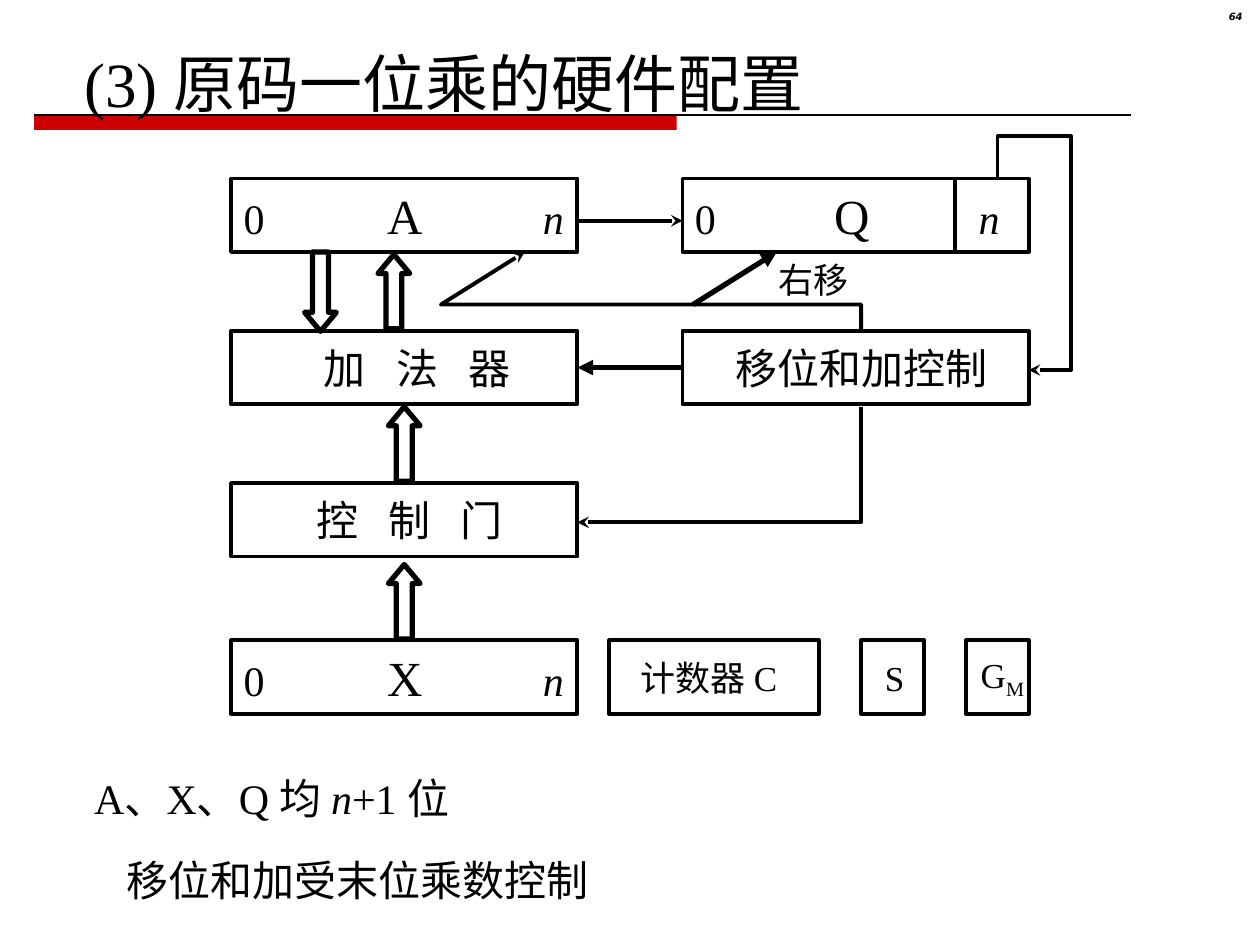
"""Build the slide on the hardware layout for one-bit sign-magnitude multiplication."""
from lxml.etree import SubElement
from pptx import Presentation
from pptx.dml.color import RGBColor
from pptx.enum.shapes import MSO_CONNECTOR as Link, MSO_SHAPE as Shape
from pptx.enum.text import MSO_ANCHOR as Anchor, MSO_AUTO_SIZE as AutoSize, PP_ALIGN as Align
from pptx.oxml.ns import qn
from pptx.util import Cm, Pt

COLORS = {"ink": "000000", "rule": "CC0000"}
INK = RGBColor.from_string(COLORS["ink"])
RULE = RGBColor.from_string(COLORS["rule"])


def write(box, runs, size, align=Align.LEFT, anchor=Anchor.TOP, left=0.25, right=0.25, tabs=()):
    frame = box.text_frame
    frame.word_wrap = True
    frame.auto_size = AutoSize.NONE
    frame.vertical_anchor = anchor
    frame.margin_left, frame.margin_right = Cm(left), Cm(right)
    frame.margin_top = frame.margin_bottom = Cm(0.13)
    para = frame.paragraphs[0]
    para.alignment = align
    if tabs:
        tab_list = SubElement(para._p.get_or_add_pPr(), qn("a:tabLst"))
        for position, kind in tabs:
            SubElement(tab_list, qn("a:tab"), pos=str(Cm(position)), algn=kind)
    para.font.name = "Times New Roman"
    para.font.size = Pt(size)
    para.font.color.rgb = INK
    for text, changes in runs:
        span = para.add_run()
        span.text = text
        for key, value in changes.items():
            span._r.get_or_add_rPr().set(key, value)
    return para


def outline(item, width=2.25, tail=None):
    item.line.color.rgb = INK
    item.line.width = Pt(width)
    if tail:
        SubElement(item.line._get_or_add_ln(), qn("a:tailEnd"), type=tail)


deck = Presentation()
deck.slide_width, deck.slide_height = Cm(25.4), Cm(19.05)
page = deck.slides.add_slide(deck.slide_layouts[5])
shapes = page.shapes

title = shapes.title
title.left, title.top, title.width, title.height = Cm(1.45), Cm(0.76), Cm(17.2), Cm(1.78)
write(title, [("(3) 原码一位乘的硬件配置", {})], 36)

bar = shapes.add_shape(Shape.RECTANGLE, Cm(0.69), Cm(2.32), Cm(12.95), Cm(0.3))
bar.shadow.inherit = False
bar.fill.solid()
bar.fill.fore_color.rgb = RULE
bar.line.fill.background()
hairline = shapes.add_connector(Link.STRAIGHT, Cm(0.69), Cm(2.32), Cm(22.8), Cm(2.32))
SubElement(hairline._element.spPr, qn("a:effectLst"))
outline(hairline, 0.75)
for part in (bar, hairline):
    title._element.addprevious(part._element)

number = shapes.add_textbox(Cm(23.8), Cm(0.13), Cm(1.5), Cm(0.58))
number_para = write(number, [("64", {})], 5.7, Align.RIGHT)
number_para.line_spacing = 0.8
number_para.font.name = "DejaVu Sans"
number_para.font.bold = number_para.font.italic = True

LEFT, RIGHT, WIDE, HIGH = 4.66, 13.76, 6.98, 1.48
ROWS = [3.6, 6.67, 9.74, 12.91]
ITALIC, LARGE, SPACED = {"i": "1"}, {"sz": "2800"}, {"spc": "600"}

registers = [
    ("A", LEFT, ROWS[0], 3.25, 6.46),
    ("X", LEFT, ROWS[3], 3.25, 6.46),
    ("Q", RIGHT, ROWS[0], 3.16, 6.14),
]
blocks = [
    (x, y, WIDE, [("0\t", {}), (name, LARGE), ("\t", {}), ("n", ITALIC)], 24,
     {"tabs": [(middle, "ctr"), (end, "r")]})
    for name, x, y, middle, end in registers
]
blocks += [
    (LEFT, ROWS[1], WIDE, [("加 法 器", SPACED)], 24, {"align": Align.CENTER, "left": 0.78}),
    (LEFT, ROWS[2], WIDE, [("控 制 门", SPACED)], 24, {"align": Align.CENTER, "left": 0.46}),
    (RIGHT, ROWS[1], WIDE, [("移位和加控制", {})], 24, {"align": Align.CENTER, "left": 0.5}),
    (12.28, ROWS[3], 4.23, [("计数器 C", {})], 20, {"left": 0.64}),
    (17.36, ROWS[3], 1.27, [("S", {})], 20, {"left": 0.48, "right": 0}),
    (19.47, ROWS[3], 1.27, [("G", {}), ("M", {"baseline": "-25000"})], 20,
     {"left": 0.3, "right": 0}),
]
boxes = {}
for x, y, width, runs, size, options in blocks:
    box = shapes.add_shape(Shape.RECTANGLE, Cm(x), Cm(y), Cm(width), Cm(HIGH))
    box.shadow.inherit = False
    box.fill.background()
    outline(box)
    write(box, runs, size, anchor=Anchor.MIDDLE, **options)
    boxes[x, y] = box

for x, y, height, turn in [(7.62, 5.13, 1.5, 0), (6.14, 5.08, 1.6, 180),
                           (7.83, 8.2, 1.5, 0), (7.83, 11.38, 1.5, 0)]:
    block_arrow = shapes.add_shape(Shape.UP_ARROW, Cm(x), Cm(y), Cm(0.64), Cm(height))
    block_arrow.shadow.inherit = False
    block_arrow.fill.background()
    block_arrow.adjustments[1] = 0.6
    block_arrow.rotation = turn
    outline(block_arrow, 3)

wires = [
    (19.26, 3.6, 19.26, 5.08, 2.25, None),
    (13.97, 6.14, 15.66, 5.08, 3, "triangle"),
    (11.64, 4.45, 13.76, 4.45, 2.25, "stealth"),
    (13.76, 7.41, 11.64, 7.41, 3, "triangle"),
]
for x1, y1, x2, y2, width, tail in wires:
    wire = shapes.add_connector(Link.STRAIGHT, Cm(x1), Cm(y1), Cm(x2), Cm(y2))
    SubElement(wire._element.spPr, qn("a:effectLst"))
    outline(wire, width, tail)
wire.begin_connect(boxes[RIGHT, ROWS[1]], 1)
wire.end_connect(boxes[LEFT, ROWS[1]], 3)

paths = [
    [(17.36, 6.67), (17.36, 6.14), (8.89, 6.14), (10.58, 5.08)],
    [(20.11, 3.6), (20.11, 2.75), (21.59, 2.75), (21.59, 7.46), (20.74, 7.46)],
    [(17.36, 8.2), (17.36, 10.53), (11.64, 10.53)],
]
for path_points in paths:
    start, *others = [(Cm(x), Cm(y)) for x, y in path_points]
    builder = shapes.build_freeform(*start)
    builder.add_line_segments(others, close=False)
    path_line = builder.convert_to_shape()
    path_line.shadow.inherit = False
    path_line.fill.background()
    outline(path_line, tail="stealth")

notes = [
    (15.45, 5.08, 3, 1.12, [("右移", {})], 20),
    (1.65, 15.44, 11, 1.27, [("A、X、Q 均 ", {}), ("n", ITALIC), ("+1 位", {})], 24),
    (2.31, 17.09, 12, 1.27, [("移位和加受末位乘数控制", {})], 24),
]
for x, y, width, height, runs, size in notes:
    write(shapes.add_textbox(Cm(x), Cm(y), Cm(width), Cm(height)), runs, size)

deck.save("out.pptx")
